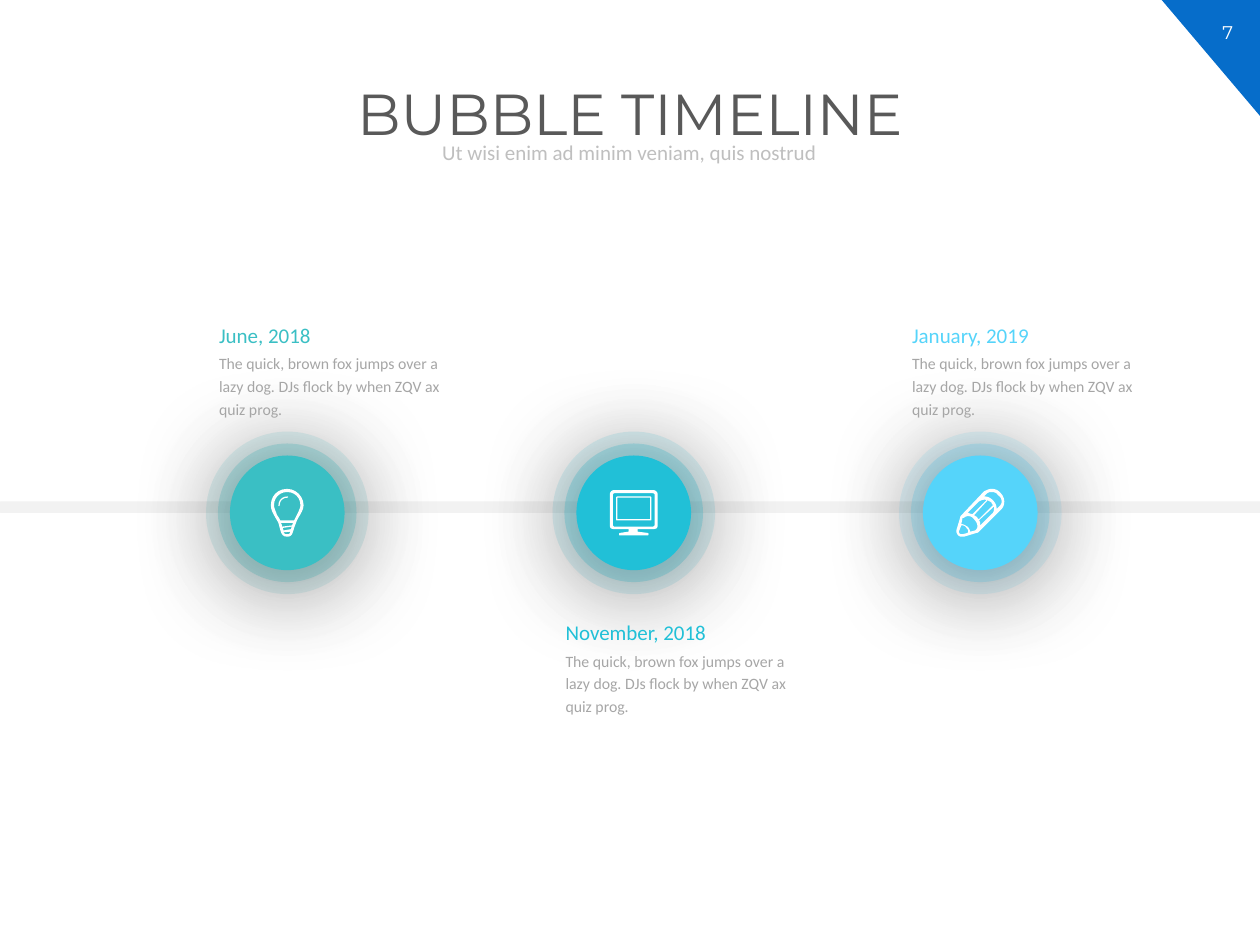
from dataclasses import dataclass

from lxml import etree
from pptx import Presentation
from pptx.dml.color import RGBColor
from pptx.enum import shapes, text
from pptx.oxml import ns
from pptx.util import Inches, Pt


@dataclass(frozen=True)
class Theme:
    heading: str = "Montserrat"
    body: str = "Calibri"
    corner: str = "066DCA"
    white: str = "FFFFFF"
    title: str = "595959"
    subtitle: str = "BFBFBF"
    detail: str = "A6A6A6"
    axis: str = "F2F2F2"
    title_size: float = 33
    label_size: float = 12
    detail_size: float = 9
    number_size: float = 10.5


@dataclass(frozen=True)
class Ring:
    size: float
    alpha: int
    shadow_blur: int


@dataclass(frozen=True)
class IconPart:
    left: float
    top: float
    contours: str


@dataclass(frozen=True)
class Milestone:
    date: str
    color: str
    text_top: float
    icon: tuple[IconPart, ...]


T = Theme()
DETAIL = "The quick, brown fox jumps over a lazy dog. DJs flock by when ZQV ax quiz prog."
FIRST_X, PITCH, CENTER_Y = 2.28, 2.75, 4.07
RINGS = (Ring(1.29, 13, 49), Ring(1.1, 25, 49), Ring(0.91, 100, 64))
ICON_UNIT = 0.01
CURVE_STEPS = 6

BULB = (
    IconPart(2.15, 3.88, """
        M 13 0 C 5 0 0 6 0 13 C 0 18 4 23 6 27 C 8 34 8 38 13 38
        C 18 38 17 34 20 27 C 21 23 26 18 26 13 C 26 6 20 0 13 0
        M 18.5 25 L 7.5 25 C 7 24 6 22 5 21 C 4 18 2.5 15 2.5 13 C 2.5 7 7 2.5 13 2.5
        C 19 2.5 23.5 7 23.5 13 C 23.5 15 22 18 20.5 21 C 20 22 19 24 18.5 25
        M 13 36 C 12 36 11 36 10 34.5 L 15.5 34 C 15 36 14 36 13 36
        M 9 30 C 9 29 8.5 28 8 27 L 17.5 27 C 17.5 28 17 28 17 29 L 9 30
        M 16 32 L 10 33 C 10 32 9.5 32 9.5 31 L 16.5 30 C 16.5 31 16 31 16 32"""),
    IconPart(2.21, 3.94, """
        M 7 0 C 3 0 0 3 0 7 C 0 8 1 8 1 7 C 1 4 3 1 7 1 C 8 1 8 0 7 0"""),
)
MONITOR = (
    IconPart(4.89, 3.94, """
        M 27 0 L 1 0 C 0 0 0 1 0 1 L 0 18 C 0 19 0 19 1 19
        L 27 19 C 28 19 28 19 28 18 L 28 1 C 28 1 28 0 27 0
        M 27 18 L 1 18 L 1 1 L 27 1 L 27 18"""),
    IconPart(4.84, 3.89, """
        M 34 0 L 3.5 0 C 1 0 0 2 0 3.5 L 0 28 C 0 30 1 31 3.5 31 L 15 31 L 15 33
        L 8 34 C 7 34 7 36 8 36 L 30 36 C 31 36 31 34 30 34 L 22 33 L 22 31
        L 34 31 C 37 31 38 30 38 28 L 38 3.5 C 38 2 37 0 34 0
        M 35.5 28 C 35.5 28 35 29 34 29 L 3.5 29 C 3 29 2.5 28 2.5 28
        L 2.5 3.5 C 2.5 3 3 2.5 3.5 2.5 L 34 2.5 C 35 2.5 35.5 3 35.5 3.5 L 35.5 28"""),
)
PENCIL = (
    IconPart(7.59, 3.88, """
        M 35 3 C 33 1 31 0 28 0 C 26 0 24 1 22 2 L 4 21 C 4 21 3 22 3 23
        L 0 33 C 0 36 2 38 4 38 L 6 38 L 16 35 C 16 35 17 35 18 34
        L 36 16 C 39 13 39 7 35 3
        M 34 14 L 32 16 C 32 13 31 11 29 9 C 27 7 25 6 22 6 L 24 4
        C 25 3 26 2.5 28 2.5 C 30 2.5 32 3 33 5 C 35 6 36 8 36 10 C 36 12 35 13 34 14
        M 11 34 C 11 33 10 31 9 30 C 7 29 6 28 4 28 L 5 23 L 6 23
        C 8 21 12 21 14 24 C 17 27 18 31 15 33 L 11 34
        M 5 36 L 4 36 C 3 36 2 35 2 34 L 4 29 C 5 29 7 29 8 31 C 9 32 10 33 9 35 L 5 36
        M 13 20 C 11 20 10 19 9 19 L 18 10 C 20 9 22 8 24 9 L 13 20
        M 18 24 C 17 24 17 23 16 22 C 15 22 15 21 14 21 L 25 9
        C 26 10 27 10 28 11 C 28 12 29 12 29 13 L 18 24
        M 19 29 C 19 27 19 26 18 25 L 30 14 C 30 16 30 19 28 20 L 19 29"""),
)
MILESTONES = (
    Milestone("June, 2018", "3ABFC4", 2.47, BULB),
    Milestone("November, 2018", "21C0D7", 4.83, MONITOR),
    Milestone("January, 2019", "55D4FA", 2.47, PENCIL),
)


def paint(sp, color: str) -> None:
    sp.shadow.inherit = False
    sp.fill.solid()
    sp.fill.fore_color.rgb = RGBColor.from_string(color)
    sp.line.fill.background()


def add_shape(parent, kind, x: float, y: float, w: float, h: float, color: str):
    sp = parent.shapes.add_shape(kind, Inches(x), Inches(y), Inches(w), Inches(h))
    paint(sp, color)
    return sp


def add_text(s, words: str, x: float, y: float, w: float, h: float, size: float, color: str,
             font: str = T.body, align=text.PP_ALIGN.LEFT, spacing: float = 1.0,
             anchor=text.MSO_ANCHOR.TOP) -> None:
    tf = s.shapes.add_textbox(Inches(x), Inches(y), Inches(w), Inches(h)).text_frame
    tf.word_wrap = True
    tf.vertical_anchor = anchor
    p = tf.paragraphs[0]
    p.text = words
    p.alignment = align
    p.line_spacing = spacing
    p.font.name = font
    p.font.size = Pt(size)
    p.font.color.rgb = RGBColor.from_string(color)


def add_alpha(color_element, percent: int) -> None:
    etree.SubElement(color_element, ns.qn("a:alpha"), val=str(percent * 1000))


def add_bubble(s, x: float, color: str) -> None:
    group = s.shapes.add_group_shape()
    for ring in RINGS:
        sp = add_shape(group, shapes.MSO_SHAPE.OVAL, x - ring.size / 2,
                       CENTER_Y - ring.size / 2, ring.size, ring.size, color)
        sp_pr = sp._element.spPr
        if ring.alpha < 100:
            add_alpha(sp_pr.find(ns.qn("a:solidFill"))[0], ring.alpha)
        shadow = etree.SubElement(sp_pr.find(ns.qn("a:effectLst")), ns.qn("a:outerShdw"),
                                  blurRad=str(Pt(ring.shadow_blur)), dist=str(Pt(4)),
                                  dir="5400000", algn="ctr", rotWithShape="0")
        add_alpha(etree.SubElement(shadow, ns.qn("a:srgbClr"), val="000000"), 43)


def trace(contour: str) -> list[tuple[float, float]]:
    tokens = contour.split()
    points = [(float(tokens[0]), float(tokens[1]))]
    i = 2
    while i < len(tokens):
        count = 6 if tokens[i] == "C" else 2
        values = [float(v) for v in tokens[i + 1:i + 1 + count]]
        ends = list(zip(values[::2], values[1::2]))
        if count == 2:
            points += ends
        else:
            controls = [points[-1], *ends]
            for step in range(1, CURVE_STEPS + 1):
                t = step / CURVE_STEPS
                weights = ((1 - t) ** 3, 3 * t * (1 - t) ** 2, 3 * t * t * (1 - t), t ** 3)
                points.append((sum(k * c[0] for k, c in zip(weights, controls)),
                               sum(k * c[1] for k, c in zip(weights, controls))))
        i += count + 1
    return points


def add_icon(s, icon: tuple[IconPart, ...]) -> None:
    parent = s.shapes.add_group_shape() if len(icon) > 1 else s
    for part in icon:
        builder = None
        for contour in part.contours.split("M")[1:]:
            start, *rest = [(Inches(part.left + px * ICON_UNIT), Inches(part.top + py * ICON_UNIT))
                            for px, py in trace(contour)]
            if builder is None:
                builder = parent.shapes.build_freeform(*start)
            else:
                builder.move_to(*start)
            builder.add_line_segments(rest, close=True)
        paint(builder.convert_to_shape(), T.white)


def main() -> None:
    prs = Presentation()
    prs.slide_width, prs.slide_height = Inches(10), Inches(7.5)
    s = prs.slides.add_slide(prs.slide_layouts[6])
    center = text.PP_ALIGN.CENTER

    corner = add_shape(s, shapes.MSO_SHAPE.RIGHT_TRIANGLE, 9.22, 0, 0.78, 0.92, T.corner)
    corner.rotation = 180
    add_text(s, "7", 9.49, 0.12, 0.51, 0.28, T.number_size, T.white, T.heading, center)
    add_text(s, "BUBBLE TIMELINE", 0.57, 0.63, 8.86, 0.73, T.title_size, T.title,
             T.heading, center, 0.9)
    add_text(s, "Ut wisi enim ad minim veniam, quis nostrud", 1.39, 1.09, 7.21, 0.26,
             T.label_size, T.subtitle, T.body, center, 0.9, text.MSO_ANCHOR.MIDDLE)

    axis = add_shape(s, shapes.MSO_SHAPE.ROUNDED_RECTANGLE, -0.04, 3.98, 10.15, 0.09, T.axis)
    axis.adjustments[0] = 0.5
    for i, m in enumerate(MILESTONES):
        add_bubble(s, FIRST_X + i * PITCH, m.color)
    for i, m in enumerate(MILESTONES):
        x = FIRST_X + i * PITCH - 0.64
        add_text(s, m.date, x, m.text_top, 2.07, 0.34, T.label_size, m.color, spacing=1.2)
        add_text(s, DETAIL, x, m.text_top + 0.26, 1.95, 0.65, T.detail_size, T.detail, spacing=1.2)
    for m in MILESTONES:
        add_icon(s, m.icon)

    prs.save("out.pptx")


if __name__ == "__main__":
    main()
